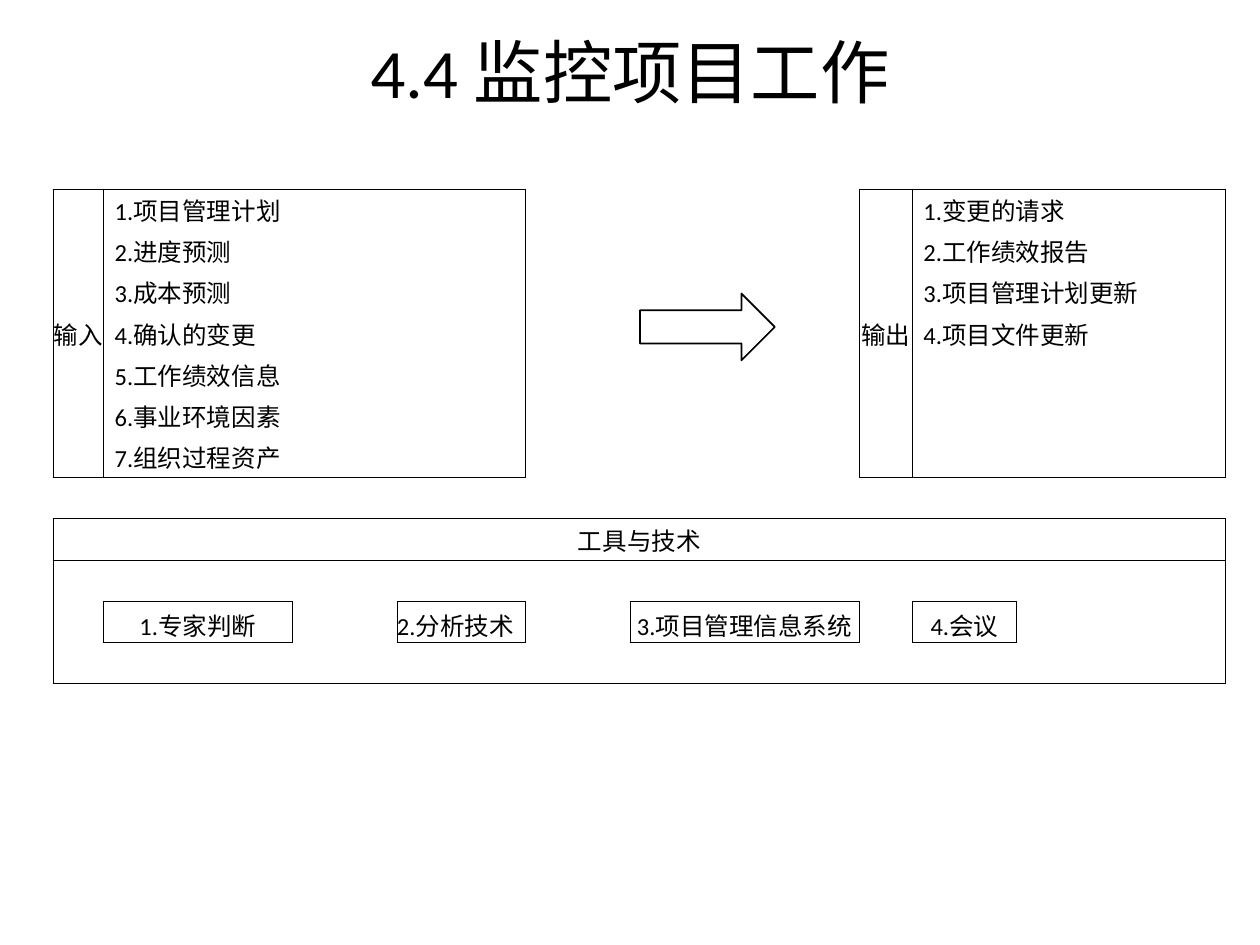
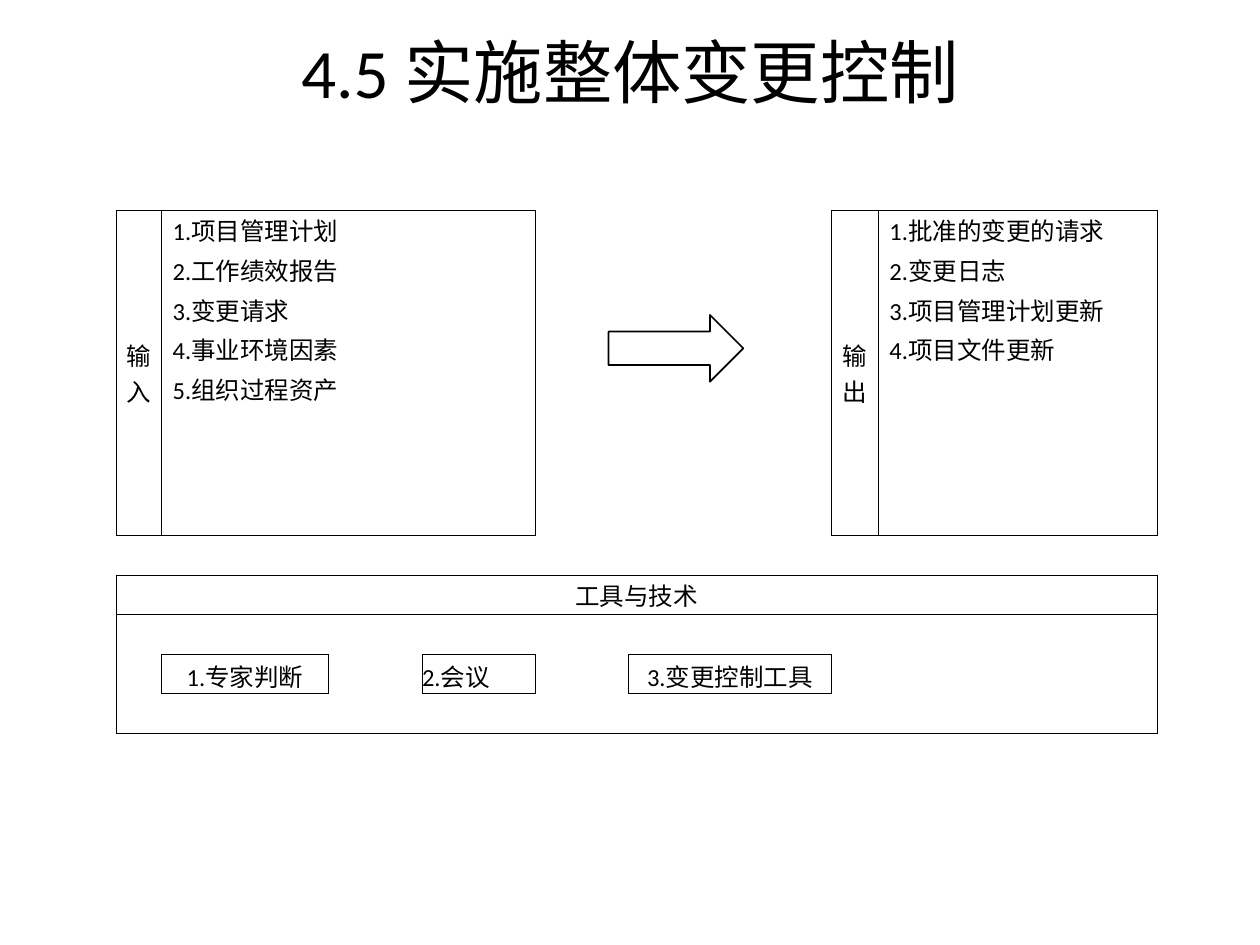
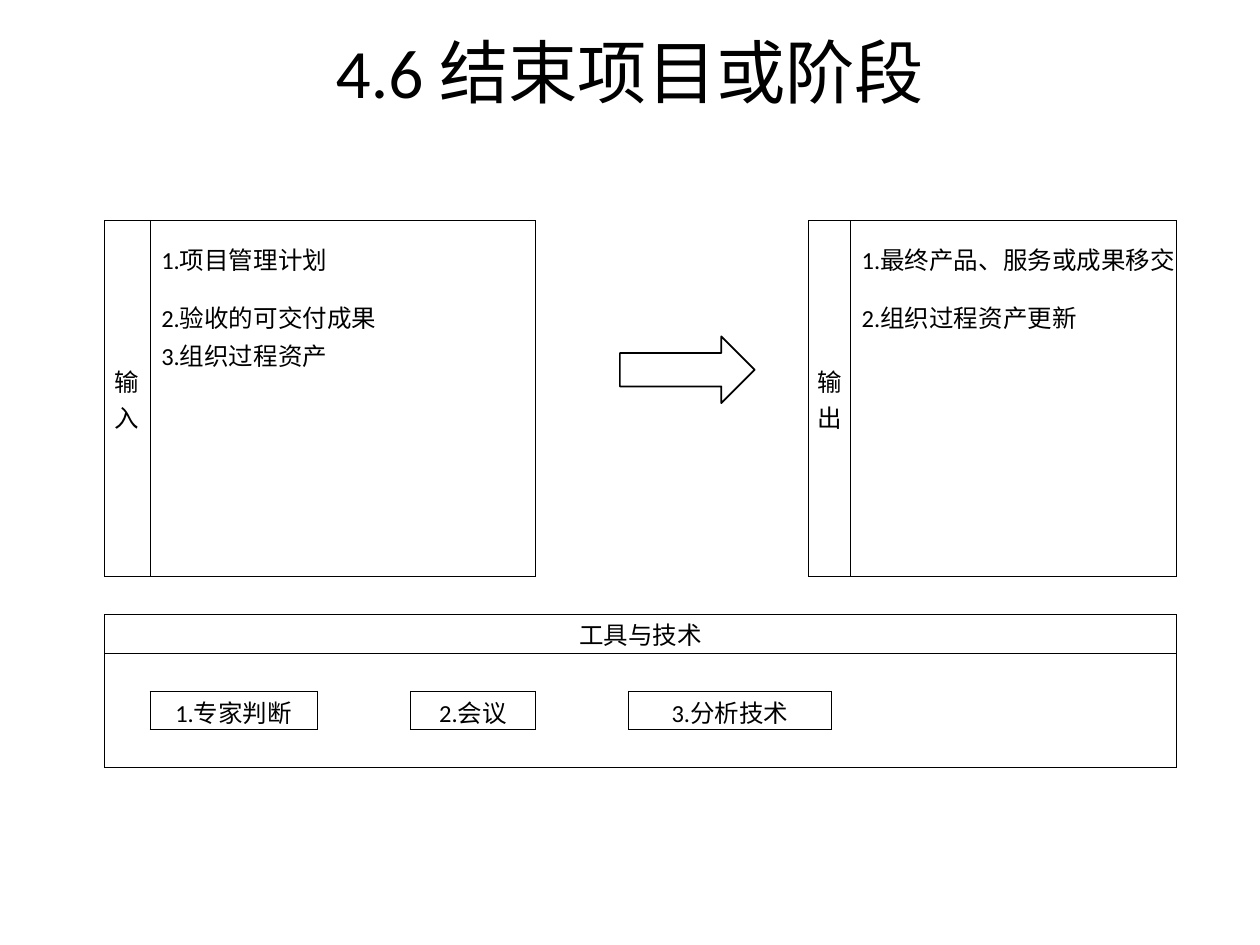
from dataclasses import dataclass

import lxml.etree
import pptx
import pptx.dml.color
import pptx.enum.shapes
import pptx.enum.text
import pptx.oxml.ns
import pptx.presentation
import pptx.slide
import pptx.table
import pptx.text.text
import pptx.util

Inches = pptx.util.Inches
Pt = pptx.util.Pt
qn = pptx.oxml.ns.qn
Align = pptx.enum.text.PP_ALIGN
Anchor = pptx.enum.text.MSO_ANCHOR

IO_ROWS = 7        # rows of the input and output blocks
HEADER_ROW = 8     # heading of the tools block, after one gap row
TOOL_ROW = 10
ROW_COUNT = 12
TITLE_ONLY_LAYOUT = 5


@dataclass(frozen=True)
class Theme:
    ink: str = "000000"
    font: str = "Calibri"
    title_size: float = 39.6
    text_size: float = 14
    border: float = 0.5
    arrow_line: float = 1
    list_indent: float = 0.09


THEME = Theme()


@dataclass(frozen=True)
class Span:
    """Inclusive range of columns."""
    first: int
    last: int


@dataclass(frozen=True)
class Tool:
    text: str
    columns: Span
    align: Align = Align.CENTER


@dataclass(frozen=True)
class Process:
    title: str
    left: float
    top: float
    height: float
    columns: list[float]
    inputs: list[str]
    outputs: list[str]
    tools: list[Tool]
    output_label: Span
    arrow_left: float
    arrow_top: float
    first_row: float | None = None   # height of a taller first row
    spare_row: float = 0             # extra height of the last two block rows


PROCESSES = [
    Process(
        "4.4 监控项目工作", 0.42, 1.5, 3.93,
        [0.4, 1.5, 0.83, 1.02, 0.83, 1.82, 0.42, 0.83, 0.83, 0.83],
        ["项目管理计划", "进度预测", "成本预测", "确认的变更",
         "工作绩效信息", "事业环境因素", "组织过程资产"],
        ["变更的请求", "工作绩效报告", "项目管理计划更新", "项目文件更新"],
        [Tool("专家判断", Span(1, 1)), Tool("分析技术", Span(3, 3), Align.LEFT),
         Tool("项目管理信息系统", Span(5, 5)), Tool("会议", Span(7, 7))],
        Span(6, 6), 5.08, 2.33),
    Process(
        "4.5 实施整体变更控制", 0.92, 1.67, 3.77,
        [0.36, 1.33, 0.74, 0.9, 0.74, 1.61, 0.37, 0.74, 0.74, 0.74],
        ["项目管理计划", "工作绩效报告", "变更请求", "事业环境因素", "组织过程资产"],
        ["批准的变更的请求", "变更日志", "项目管理计划更新", "项目文件更新"],
        [Tool("专家判断", Span(1, 1)), Tool("会议", Span(3, 3), Align.LEFT),
         Tool("变更控制工具", Span(5, 5))],
        Span(6, 6), 4.83, 2.5, spare_row=0.13),
    Process(
        "4.6 结束项目或阶段", 0.83, 1.75, 3.95,
        [0.36, 1.33, 0.74, 0.99, 0.74, 1.43, 0.18, 0.15, 0.22, 0.74, 0.74, 0.89],
        ["项目管理计划", "验收的可交付成果", "组织过程资产"],
        ["最终产品、服务或成果移交", "组织过程资产更新"],
        [Tool("专家判断", Span(1, 1)), Tool("会议", Span(3, 3)),
         Tool("分析技术", Span(5, 6))],
        Span(6, 7), 4.92, 2.67, first_row=0.61, spare_row=0.13),
]


def write_text(frame: pptx.text.text.TextFrame, text: str, *,
               size: float = THEME.text_size, align: Align = Align.CENTER,
               indent: float = 0) -> None:
    paragraph = frame.paragraphs[0]
    paragraph.alignment = align
    if indent:
        paragraph._p.get_or_add_pPr().set("indent", str(Inches(indent)))
    run = paragraph.add_run()
    run.text = text
    run.font.size = Pt(size)
    run.font.name = THEME.font
    run.font.color.rgb = pptx.dml.color.RGBColor.from_string(THEME.ink)


class ProcessGrid:
    """A table whose borders run wherever two neighbouring regions meet."""

    def __init__(self, table: pptx.table.Table) -> None:
        self.table = table
        self.regions: dict[tuple[int, int], str] = {}

    def claim(self, region: str, top: int, bottom: int, columns: Span) -> None:
        for row in range(top, bottom + 1):
            for column in range(columns.first, columns.last + 1):
                self.regions[row, column] = region

    def merged(self, top: int, bottom: int, columns: Span) -> pptx.table._Cell:
        origin = self.table.cell(top, columns.first)
        if bottom > top or columns.last > columns.first:
            origin.merge(self.table.cell(bottom, columns.last))
        return origin

    def finish(self) -> None:
        """Clear fills and margins, then draw the borders."""
        for row in range(len(self.table.rows)):
            for column in range(len(self.table.columns)):
                cell = self.table.cell(row, column)
                cell.margin_left = cell.margin_right = 0
                cell.margin_top = cell.margin_bottom = 0
                if not cell.text_frame.text:
                    end = lxml.etree.SubElement(
                        cell.text_frame.paragraphs[0]._p, qn("a:endParaRPr"))
                    end.set("sz", str(int(THEME.text_size * 100)))
                bottom, right = row, column
                if cell.is_merge_origin:
                    bottom += cell.span_height - 1
                    right += cell.span_width - 1
                own = self.regions.get((row, column))
                neighbours = {"a:lnL": (row, column - 1), "a:lnR": (row, right + 1),
                              "a:lnT": (row - 1, column), "a:lnB": (bottom + 1, column)}
                for side, neighbour in neighbours.items():
                    draw_border(cell, side, self.regions.get(neighbour) != own)
                cell.fill.background()


def draw_border(cell: pptx.table._Cell, side: str, visible: bool) -> None:
    line = lxml.etree.SubElement(cell._tc.get_or_add_tcPr(), qn(side))
    line.set("w", str(Pt(THEME.border)))
    if visible:
        fill = lxml.etree.SubElement(line, qn("a:solidFill"))
        lxml.etree.SubElement(fill, qn("a:srgbClr")).set("val", THEME.ink)
    else:
        lxml.etree.SubElement(line, qn("a:noFill"))


def add_title(slide: pptx.slide.Slide, text: str) -> None:
    title = slide.shapes.title
    title.left, title.top = Inches(0.5), Inches(0.3)
    title.width, title.height = Inches(9), Inches(0.53)
    title.text_frame.auto_size = pptx.enum.text.MSO_AUTO_SIZE.NONE
    title.text_frame.vertical_anchor = Anchor.MIDDLE
    write_text(title.text_frame, text, size=THEME.title_size)


def row_heights(process: Process) -> list[float]:
    if process.first_row:
        regular = (process.height - process.first_row) / (ROW_COUNT - 1)
    else:
        regular = process.height / ROW_COUNT
    heights = [regular] * ROW_COUNT
    heights[0] = process.first_row or regular
    for row in (IO_ROWS - 2, IO_ROWS - 1):
        heights[row] += process.spare_row
    return heights


def fill_block(grid: ProcessGrid, label: str, label_columns: Span,
               list_columns: Span, items: list[str]) -> None:
    """A label beside a numbered list, one item a row."""
    grid.claim(label, 0, IO_ROWS - 1, label_columns)
    grid.claim(label + "列表", 0, IO_ROWS - 1, list_columns)
    heading = grid.merged(0, IO_ROWS - 1, label_columns)
    heading.vertical_anchor = Anchor.MIDDLE
    write_text(heading.text_frame, label)
    for row in range(IO_ROWS):
        entry = grid.merged(row, row, list_columns)
        entry.vertical_anchor = Anchor.MIDDLE
        if row < len(items):
            write_text(entry.text_frame, f"{row + 1}.{items[row]}",
                       align=Align.LEFT, indent=THEME.list_indent)


def fill_tools(grid: ProcessGrid, tools: list[Tool], columns: Span) -> None:
    grid.claim("heading", HEADER_ROW, HEADER_ROW, columns)
    grid.claim("area", HEADER_ROW + 1, ROW_COUNT - 1, columns)
    heading = grid.merged(HEADER_ROW, HEADER_ROW, columns)
    heading.vertical_anchor = Anchor.MIDDLE
    write_text(heading.text_frame, "工具与技术")
    for number, tool in enumerate(tools, start=1):
        grid.claim(tool.text, TOOL_ROW, TOOL_ROW, tool.columns)
        box = grid.merged(TOOL_ROW, TOOL_ROW, tool.columns)
        box.vertical_anchor = Anchor.BOTTOM
        write_text(box.text_frame, f"{number}.{tool.text}", align=tool.align)


def add_process_table(slide: pptx.slide.Slide, process: Process) -> None:
    table = slide.shapes.add_table(
        ROW_COUNT, len(process.columns), Inches(process.left), Inches(process.top),
        Inches(sum(process.columns)), Inches(process.height)).table
    table.first_row = table.horz_banding = False
    for column, width in zip(table.columns, process.columns):
        column.width = Inches(width)
    for row, height in zip(table.rows, row_heights(process)):
        row.height = Inches(height)

    last = len(process.columns) - 1
    grid = ProcessGrid(table)
    fill_block(grid, "输入", Span(0, 0), Span(1, 3), process.inputs)
    fill_block(grid, "输出", process.output_label,
               Span(process.output_label.last + 1, last), process.outputs)
    fill_tools(grid, process.tools, Span(0, last))
    grid.finish()


def add_flow_arrow(slide: pptx.slide.Slide, left: float, top: float) -> None:
    arrow = slide.shapes.add_shape(
        pptx.enum.shapes.MSO_SHAPE.RIGHT_ARROW,
        Inches(left), Inches(top), Inches(1.07), Inches(0.53))
    arrow.shadow.inherit = False
    arrow.fill.background()
    arrow.line.color.rgb = pptx.dml.color.RGBColor.from_string(THEME.ink)
    arrow.line.width = Pt(THEME.arrow_line)


def add_process_slide(deck: pptx.presentation.Presentation, process: Process) -> None:
    slide = deck.slides.add_slide(deck.slide_layouts[TITLE_ONLY_LAYOUT])
    add_title(slide, process.title)
    add_process_table(slide, process)
    add_flow_arrow(slide, process.arrow_left, process.arrow_top)


def main() -> None:
    deck = pptx.Presentation()
    deck.slide_width, deck.slide_height = Inches(10), Inches(7.5)
    for process in PROCESSES:
        add_process_slide(deck, process)
    deck.save("out.pptx")


if __name__ == "__main__":
    main()
